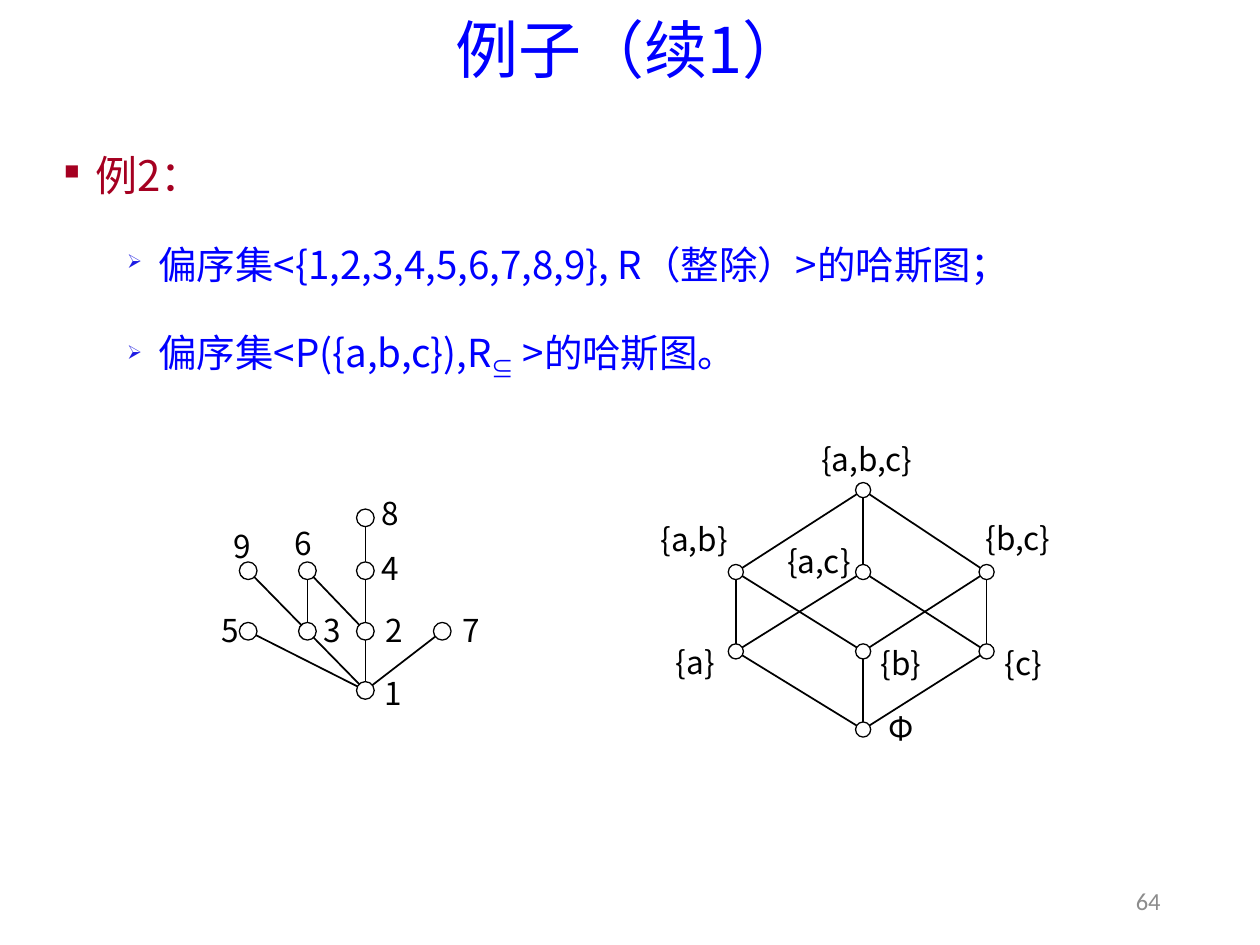
from dataclasses import dataclass
from typing import Any

from lxml import etree
from pptx import Presentation
from pptx.dml import color
from pptx.enum import shapes, text
from pptx.oxml import ns
from pptx.util import Inches, Pt

BLUE, RED, BULLET_BLUE = "0000FF", "A50021", "1E1CE3"
BLACK, WHITE, GREY = "000000", "FFFFFF", "8C8C8C"


def rgb(value):
    return color.RGBColor.from_string(value)


def sub_element(parent, tag, **attributes):
    return etree.SubElement(parent, ns.qn(tag), attributes)


def add_run(paragraph, content, *, size, font, colour, baseline=None):
    run = paragraph.add_run()
    run.text = content
    run.font.size = Pt(size)
    run.font.name = font
    run.font.color.rgb = rgb(colour)
    properties = run.font._element
    sub_element(properties, "a:ea", typeface=font)
    if baseline:
        properties.set("baseline", str(baseline * 1000))


def add_bullet(paragraph, char, colour, left, hanging):
    properties = paragraph._p.get_or_add_pPr()
    properties.set("marL", str(Inches(left)))
    properties.set("indent", str(-Inches(hanging)))
    fill = sub_element(properties, "a:buClr")
    sub_element(fill, "a:srgbClr", val=colour)
    sub_element(properties, "a:buSzPct", val="50000")
    sub_element(properties, "a:buChar", char=char)


@dataclass
class Deck:
    """Style and current slide."""
    slide: Any
    body_font: str = "Noto Sans CJK SC"
    title_font: str = "Noto Sans CJK JP"
    number_font: str = "Calibri"

    def box(self, parent, left, top, width, height, anchor, inset=True):
        holder = parent.add_textbox(*map(Inches, (left, top, width, height)))
        frame = holder.text_frame
        frame.word_wrap = inset
        frame.vertical_anchor = anchor
        if not inset:
            frame.margin_left = frame.margin_right = 0
            frame.margin_top = frame.margin_bottom = 0
        return frame

    def line_of_text(self, parent, area, content, align, inset=True, spacing=None, **fmt):
        frame = self.box(parent, *area, text.MSO_ANCHOR.MIDDLE, inset)
        paragraph = frame.paragraphs[0]
        paragraph.alignment = align
        paragraph.line_spacing = spacing
        add_run(paragraph, content, **fmt)

    def outline(self, area, items):
        """Write items of (level, runs), each run being (words, baseline)."""
        frame = self.box(self.slide.shapes, *area, text.MSO_ANCHOR.TOP)
        levels = [
            dict(char="■", bullet=RED, left=0.25, size=24, colour=RED),
            dict(char="➢", bullet=BULLET_BLUE, left=0.75, size=22, colour=BLUE),
        ]
        for index, (level, runs) in enumerate(items):
            paragraph = frame.add_paragraph() if index else frame.paragraphs[0]
            look = levels[level]
            paragraph.level = level
            paragraph.line_spacing = 1.2
            paragraph.space_before = Pt(6 if index else 0)
            paragraph.space_after = Pt(12)
            add_bullet(paragraph, look["char"], look["bullet"], look["left"], 0.25)
            for words, baseline in runs:
                add_run(paragraph, words, size=look["size"], font=self.body_font,
                        colour=look["colour"], baseline=baseline)

    def edge(self, parent, start, end):
        ends = map(Inches, (*start, *end))
        connector = parent.add_connector(shapes.MSO_CONNECTOR.STRAIGHT, *ends)
        connector.line.color.rgb = rgb(BLACK)
        connector.line.width = Pt(1)
        sub_element(connector._element.spPr, "a:effectLst")

    def node(self, parent, centre, diameter):
        left, top = (Inches(c - diameter / 2) for c in centre)
        circle = parent.add_shape(shapes.MSO_SHAPE.FLOWCHART_CONNECTOR, left, top,
                                  Inches(diameter), Inches(diameter))
        circle.shadow.inherit = False
        circle.fill.solid()
        circle.fill.fore_color.rgb = rgb(WHITE)
        circle.line.color.rgb = rgb(BLACK)
        circle.line.width = Pt(0.75)

    def hasse(self, nodes, edges, diameter, label_width):
        """Draw nodes {label: (centre, label centre)} joined by edges."""
        group = self.slide.shapes.add_group_shape().shapes
        for lower, upper in edges:
            self.edge(group, nodes[lower][0], nodes[upper][0])
        for centre, _ in nodes.values():
            self.node(group, centre, diameter)
        height = 0.3
        for label, (_, (x, y)) in nodes.items():
            area = (x - label_width / 2, y - height / 2, label_width, height)
            self.line_of_text(group, area, label, text.PP_ALIGN.CENTER, inset=False,
                              size=18, font=self.body_font, colour=BLACK)


def main():
    presentation = Presentation()
    presentation.slide_width, presentation.slide_height = Inches(10), Inches(7.5)
    deck = Deck(presentation.slides.add_slide(presentation.slide_layouts[6]))
    page = deck.slide.shapes

    deck.line_of_text(page, (0.69, 0.14, 8.62, 0.57), "例子（续1）",
                      text.PP_ALIGN.CENTER, spacing=0.9,
                      size=36, font=deck.title_font, colour=BLUE)
    deck.outline((0.41, 1.06, 9.18, 2.02), [
        (0, [("例2：", None)]),
        (1, [("偏序集<{1,2,3,4,5,6,7,8,9}, R（整除）>的哈斯图；", None)]),
        (1, [("偏序集<P({a,b,c}),R", None), ("⊆", -25), (" >的哈斯图。", None)]),
    ])
    deck.line_of_text(page, (8.54, 6.95, 0.77, 0.4), "64", text.PP_ALIGN.RIGHT,
                      size=14, font=deck.number_font, colour=GREY)

    left, middle, right = 5.84, 6.85, 7.83
    empty, single, pair, full = 5.79, 5.17, 4.54, 3.89
    subsets = {
        "{a,b,c}": ((middle, full), (6.88, 3.64)),
        "{a,b}": ((left, pair), (5.51, 4.28)),
        "{a,c}": ((middle, pair), (6.5, 4.45)),
        "{b,c}": ((right, pair), (8.08, 4.27)),
        "{a}": ((left, single), (5.52, 5.25)),
        "{b}": ((middle, single), (7.15, 5.26)),
        "{c}": ((right, single), (8.12, 5.26)),
        "Φ": ((middle, empty), (7.15, 5.78)),
    }
    inclusions = [
        ("Φ", "{a}"), ("Φ", "{b}"), ("Φ", "{c}"),
        ("{a}", "{a,b}"), ("{a}", "{a,c}"), ("{b}", "{a,b}"),
        ("{b}", "{b,c}"), ("{c}", "{a,c}"), ("{c}", "{b,c}"),
        ("{a,b}", "{a,b,c}"), ("{a,c}", "{a,b,c}"), ("{b,c}", "{a,b,c}"),
    ]
    deck.hasse(subsets, inclusions, diameter=0.12, label_width=0.8)

    far_left, threes, twos, far_right = 1.97, 2.44, 2.9, 3.51
    one, primes, products, cube = 5.48, 5.01, 4.53, 4.11
    numbers = {
        "1": ((twos, one), (3.12, 5.5)),
        "5": ((far_left, primes), (1.83, 5)),
        "3": ((threes, primes), (2.64, 5)),
        "2": ((twos, primes), (3.13, 5)),
        "7": ((far_right, primes), (3.74, 5)),
        "9": ((far_left, products), (1.92, 4.33)),
        "6": ((threes, products), (2.41, 4.31)),
        "4": ((twos, products), (3.1, 4.51)),
        "8": ((twos, cube), (3.1, 4.07)),
    }
    divisibility = ["15", "13", "12", "17", "39", "36", "26", "24", "48"]
    deck.hasse(numbers, divisibility, diameter=0.14, label_width=0.3)

    presentation.save("out.pptx")


if __name__ == "__main__":
    main()
